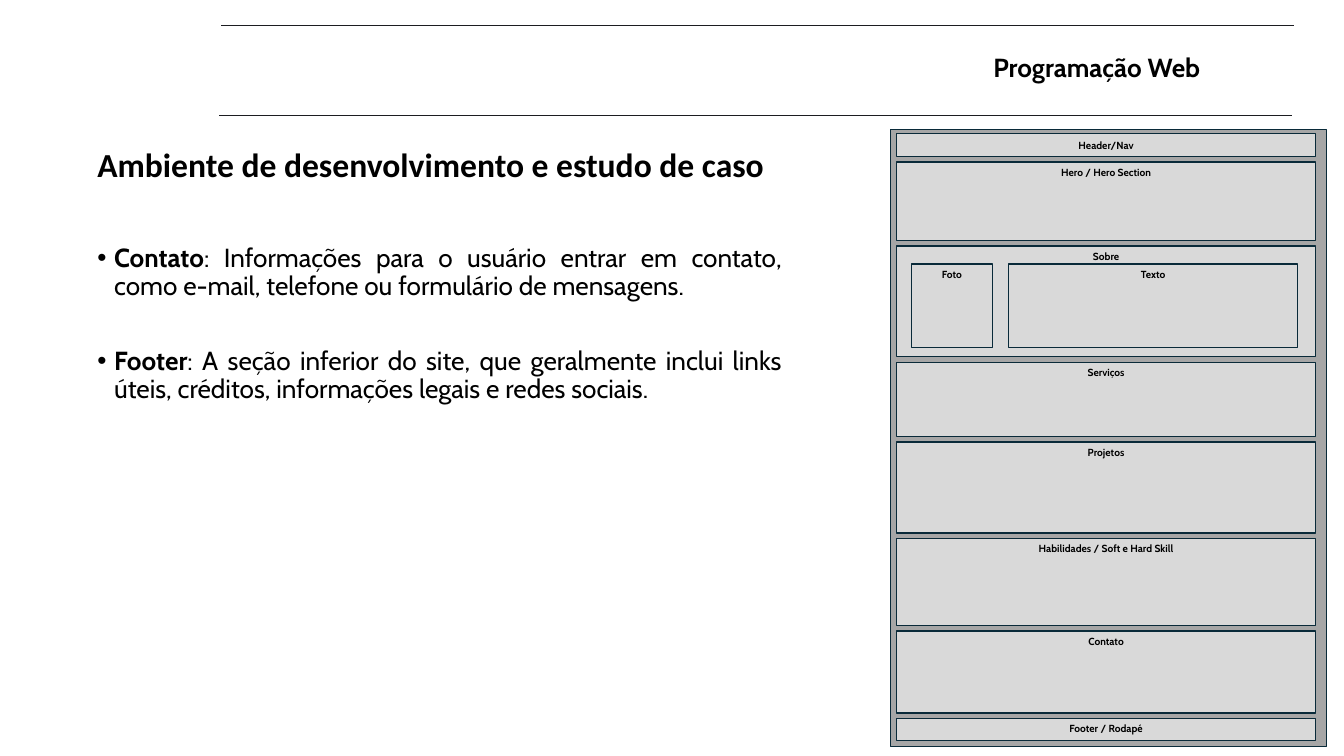
from dataclasses import dataclass

import lxml.etree
import pptx
import pptx.dml.color
import pptx.enum.shapes
import pptx.enum.text
import pptx.oxml.ns
import pptx.util

Inches = pptx.util.Inches
Pt = pptx.util.Pt
ALIGN = pptx.enum.text.PP_ALIGN
ANCHOR = pptx.enum.text.MSO_ANCHOR
qn = pptx.oxml.ns.qn

BLACK, RULE, BORDER = "000000", "1C1D21", "092A39"
PAGE_FILL, BLOCK_FILL = "A6A6A6", "D9D9D9"


@dataclass
class Block:
    label: str
    left: float
    top: float
    width: float
    height: float
    anchor: ANCHOR = ANCHOR.TOP


@dataclass
class Section:
    label: str
    height: float
    anchor: ANCHOR = ANCHOR.TOP


@dataclass
class Topic:
    term: str
    description: str


SECTIONS = [
    Section("Header/Nav", 0.34, ANCHOR.MIDDLE),
    Section("Hero / Hero Section", 1.17),
    Section("Sobre", 1.65),
    Section("Serviços", 1.11),
    Section("Projetos", 1.35),
    Section("Habilidades / Soft e Hard Skill", 1.3),
    Section("Contato", 1.22),
    Section("Footer / Rodapé", 0.33),
]
SECTION_LEFT, SECTION_TOP, SECTION_WIDTH, SECTION_GAP = 13.34, 1.99, 6.24, 0.08
ABOUT_PARTS = [
    Block("Foto", 13.56, 3.93, 1.21, 1.24),
    Block("Texto", 15.01, 3.93, 4.3, 1.24),
]
TOPICS = [
    Topic("Contato", ": Informações para o usuário entrar em contato, "
          "como e-mail, telefone ou formulário de mensagens."),
    Topic("Footer", ": A seção inferior do site, que geralmente inclui links "
          "úteis, créditos, informações legais e redes sociais."),
]


def rgb(value: str) -> pptx.dml.color.RGBColor:
    return pptx.dml.color.RGBColor.from_string(value)


def set_font(font, size: float, name: str = "Cabin", bold: bool = True) -> None:
    font.name, font.size, font.bold = name, Pt(size), bold
    font.color.rgb = rgb(BLACK)


def add_rule(s, left: float, top: float, width: float) -> None:
    line = s.shapes.add_connector(
        pptx.enum.shapes.MSO_CONNECTOR.STRAIGHT,
        Inches(left), Inches(top), Inches(left + width), Inches(top))
    line.line.color.rgb = rgb(RULE)
    line.line.width = Pt(0.75)
    lxml.etree.SubElement(line._element.spPr, qn("a:effectLst"))


def add_text_box(s, left: float, top: float, width: float, height: float):
    box = s.shapes.add_textbox(Inches(left), Inches(top), Inches(width), Inches(height))
    box.text_frame.word_wrap = True
    return box.text_frame


def add_heading(tf, text: str, size: float, name: str, align: ALIGN, spacing: float) -> None:
    p = tf.paragraphs[0]
    p.text = text
    p.alignment = align
    p.line_spacing = spacing
    set_font(p.runs[0].font, size, name)


def add_bullet(p) -> None:
    """Give the paragraph a round bullet with a quarter-inch hanging indent."""
    pPr = p._p.get_or_add_pPr()
    pPr.set("marL", str(Inches(0.25)))
    pPr.set("indent", str(Inches(-0.25)))
    lxml.etree.SubElement(pPr, qn("a:buFont")).set("typeface", "Arial")
    lxml.etree.SubElement(pPr, qn("a:buChar")).set("char", "•")


def add_topics(tf, topics: list[Topic]) -> None:
    for i, topic in enumerate(topics):
        p = tf.paragraphs[0] if i == 0 else tf.add_paragraph()
        add_bullet(p)
        p.alignment = ALIGN.JUSTIFY
        p.line_spacing = 0.9
        if i:
            p.space_before = Pt(50)
        for text, bold in ((topic.term, True), (topic.description, False)):
            r = p.add_run()
            r.text = text
            set_font(r.font, 28, bold=bold)


def add_block(group, block: Block, fill: str = BLOCK_FILL) -> None:
    sp = group.shapes.add_shape(
        pptx.enum.shapes.MSO_SHAPE.RECTANGLE, Inches(block.left), Inches(block.top),
        Inches(block.width), Inches(block.height))
    sp.shadow.inherit = False
    sp.fill.solid()
    sp.fill.fore_color.rgb = rgb(fill)
    sp.line.color.rgb = rgb(BORDER)
    sp.line.width = Pt(1.5)
    if not block.label:
        return
    tf = sp.text_frame
    tf.word_wrap = True
    tf.vertical_anchor = block.anchor
    add_heading(tf, block.label, 11, "Cabin", ALIGN.CENTER, 1.07)
    tf.paragraphs[0].space_after = Pt(8)


def add_wireframe(s) -> None:
    group = s.shapes.add_group_shape()
    add_block(group, Block("", 13.25, 1.93, 6.49, 9.18), PAGE_FILL)
    top = SECTION_TOP
    for section in SECTIONS:
        add_block(group, Block(section.label, SECTION_LEFT, top, SECTION_WIDTH,
                               section.height, section.anchor))
        top += section.height + SECTION_GAP
    for part in ABOUT_PARTS:
        add_block(group, part)


def main() -> None:
    prs = pptx.Presentation()
    prs.slide_width, prs.slide_height = Inches(20), Inches(11.25)
    s = prs.slides.add_slide(prs.slide_layouts[6])

    add_rule(s, 3.29, 0.38, 15.96)
    add_rule(s, 3.26, 1.71, 15.96)
    add_heading(add_text_box(s, 13.42, 0.71, 5.8, 0.57),
                "Programação Web", 28, "Cabin", ALIGN.CENTER, 1.0)
    add_topics(add_text_box(s, 1.35, 3.59, 10.38, 6.3), TOPICS)
    add_wireframe(s)
    add_heading(add_text_box(s, 1.35, 2.16, 17.25, 0.8),
                "Ambiente de desenvolvimento e estudo de caso", 36, "Calibri", ALIGN.LEFT, 0.9)

    prs.save("out.pptx")


if __name__ == "__main__":
    main()
